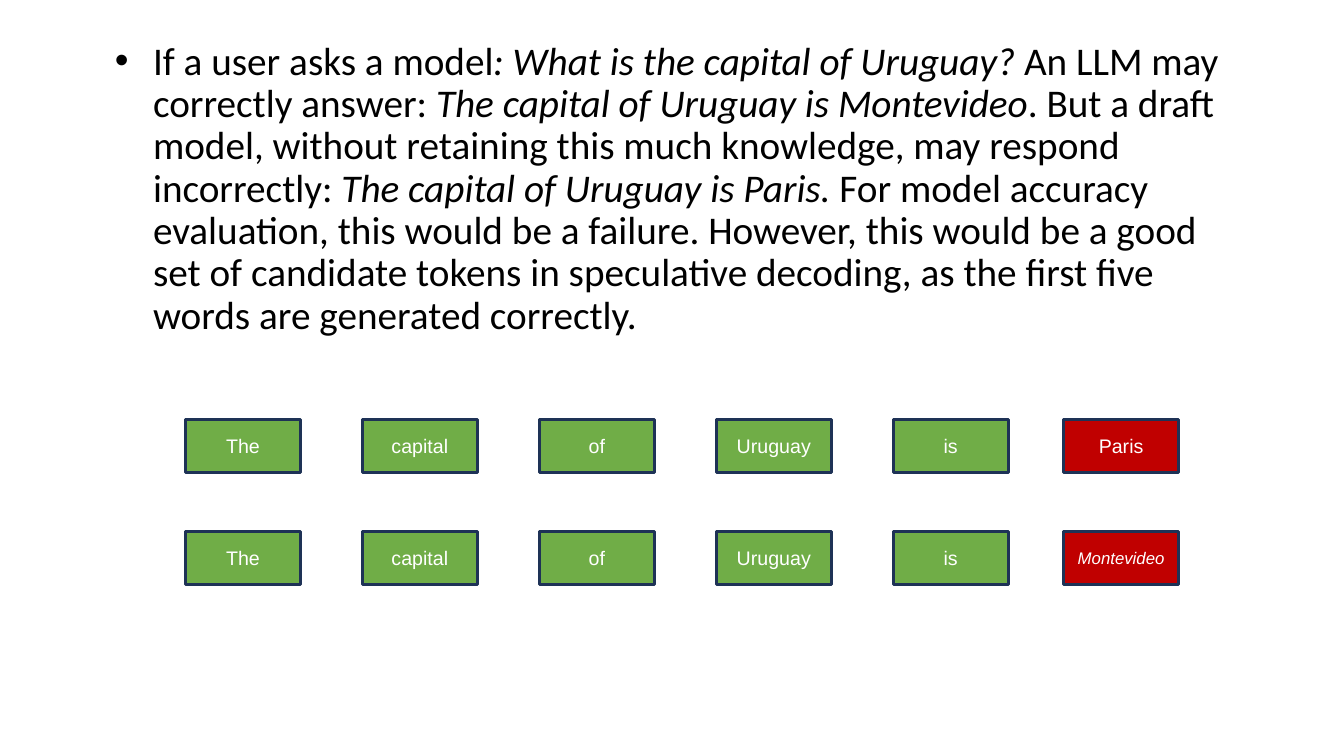
"""Build the slide that compares draft tokens with the correct answer."""
from dataclasses import dataclass

import lxml.etree
import pptx
import pptx.dml.color
import pptx.enum.shapes
import pptx.enum.text
import pptx.oxml.ns
import pptx.util
from pptx.util import Inches


@dataclass(frozen=True)
class Theme:
    text: str = "000000"
    token_text: str = "FFFFFF"
    match: str = "70AD47"
    mismatch: str = "C00000"
    outline: str = "1E3256"
    body_font: str = "Calibri"
    token_font: str = "Arial"
    body_size: int = 28
    token_size: int = 14
    long_token_size: int = 12
    outline_width: int = 2


theme = Theme()


def style_font(font, name, size, color):
    font.name = name
    font.size = pptx.util.Pt(size)
    font.color.rgb = pptx.dml.color.RGBColor.from_string(color)


presentation = pptx.Presentation()
presentation.slide_width = Inches(13.33)
presentation.slide_height = Inches(7.5)
slide = presentation.slides.add_slide(presentation.slide_layouts[6])

body = slide.shapes.add_textbox(Inches(0.92), Inches(0.36), Inches(11.5), Inches(3.39))
body.text_frame.word_wrap = True
paragraph = body.text_frame.paragraphs[0]
paragraph.line_spacing = 0.9
properties = paragraph._p.get_or_add_pPr()
properties.set("marL", str(Inches(0.5)))
properties.set("indent", str(Inches(-0.38)))
bullet_color = lxml.etree.SubElement(properties, pptx.oxml.ns.qn("a:buClr"))
lxml.etree.SubElement(bullet_color, pptx.oxml.ns.qn("a:srgbClr"), val=theme.text)
lxml.etree.SubElement(properties, pptx.oxml.ns.qn("a:buFont"), typeface=theme.token_font)
lxml.etree.SubElement(properties, pptx.oxml.ns.qn("a:buChar"), char="•")
style_font(paragraph.font, theme.body_font, theme.body_size, theme.text)

passages = [
    ("If a user asks a model", False),
    (": What is the capital of Uruguay? ", True),
    ("An LLM may correctly answer: ", False),
    ("The capital of Uruguay is Montevideo", True),
    (". But a draft model, without retaining this much knowledge, may respond incorrectly: ", False),
    ("The capital of Uruguay is Paris.", True),
    (" For model accuracy evaluation, this would be a failure. However, this would be a good "
     "set of candidate tokens in speculative decoding, as the first five words are generated "
     "correctly.", False),
]
for text, italic in passages:
    run = paragraph.add_run()
    run.text = text
    if italic:
        run.font.italic = True

shared_tokens = ["The", "capital", "of", "Uruguay", "is"]
token_lefts = [1.84 + 1.755 * column for column in range(len(shared_tokens))] + [10.55]
answers = [("Paris", 4.16, theme.token_size, False),
           ("Montevideo", 5.27, theme.long_token_size, True)]

for last_token, top, last_size, last_italic in answers:
    for left, token in zip(token_lefts, shared_tokens + [last_token]):
        is_last = token == last_token
        box = slide.shapes.add_shape(
            pptx.enum.shapes.MSO_SHAPE.RECTANGLE,
            Inches(left), Inches(top), Inches(1.14), Inches(0.53))
        box.shadow.inherit = False
        box.fill.solid()
        box.fill.fore_color.rgb = pptx.dml.color.RGBColor.from_string(
            theme.mismatch if is_last else theme.match)
        box.line.color.rgb = pptx.dml.color.RGBColor.from_string(theme.outline)
        box.line.width = pptx.util.Pt(theme.outline_width)
        box.text_frame.vertical_anchor = pptx.enum.text.MSO_ANCHOR.MIDDLE
        paragraph = box.text_frame.paragraphs[0]
        paragraph.text = token
        paragraph.alignment = pptx.enum.text.PP_ALIGN.CENTER
        style_font(paragraph.font, theme.token_font,
                   last_size if is_last else theme.token_size, theme.token_text)
        if is_last and last_italic:
            paragraph.font.italic = True

presentation.save("out.pptx")
